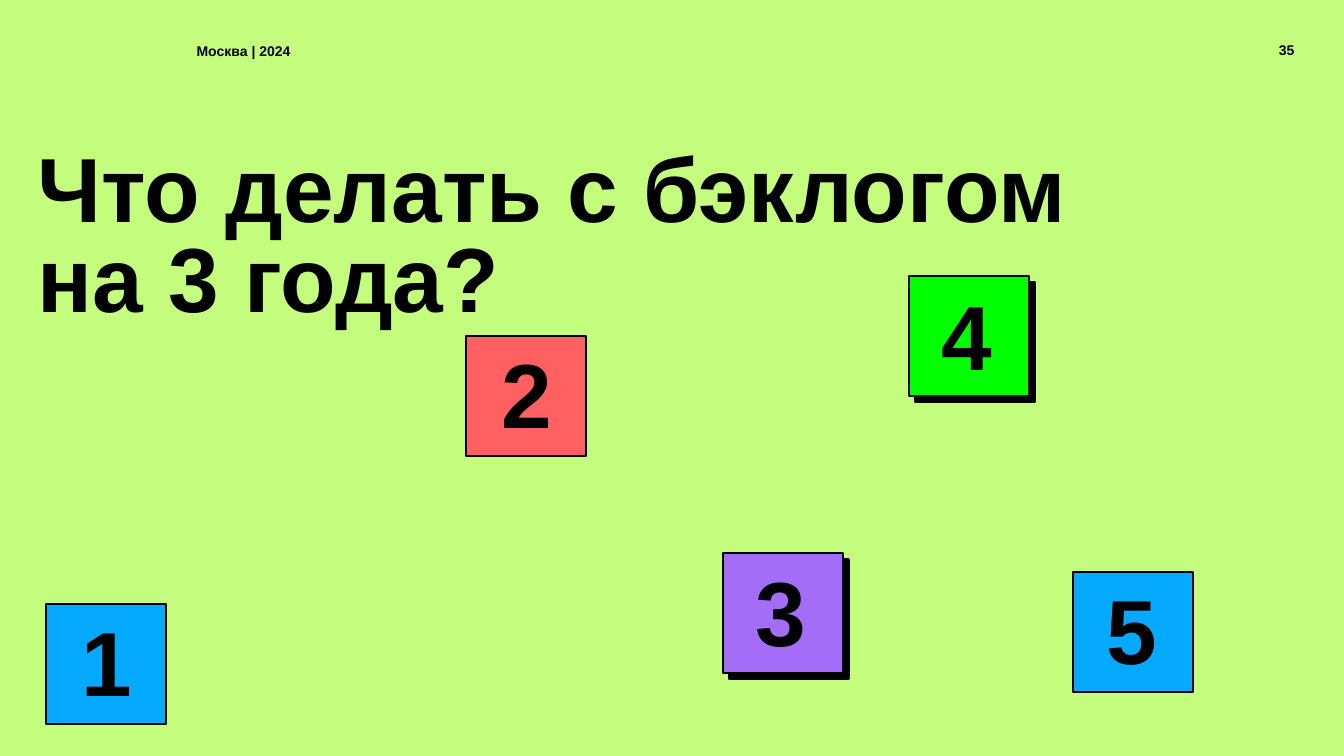
from pptx import Presentation
from pptx.dml.color import RGBColor
from pptx.enum import shapes, text
from pptx.oxml import parse_xml
from pptx.oxml.ns import nsdecls
from pptx.util import Pt

COLORS = {
    "background": "C4FD7D", "ink": "000000", "blue": "05AAFF",
    "red": "FF6061", "violet": "A36DF7", "green": "00FF00",
}
SMALL = {"size": Pt(20), "bold": True, "name": "Arial"}
LARGE = {"size": Pt(130), "bold": True, "name": "Arial"}
CARD_SIDE = 171.4

# Number, fill, card left and top, digit offset in the card, hard shadow
CARDS = [
    ("4", "green", 1298.2, 394.6, 42.5, 27.4, True),
    ("1", "blue", 65.5, 862.6, 46.8, 25.2, False),
    ("2", "red", 666, 479.5, 46.1, 26.6, False),
    ("3", "violet", 1032.5, 790.6, 42.5, 26.6, True),
    ("5", "blue", 1532.9, 817.2, 43.2, 25.2, False),
]


def rgb(name):
    return RGBColor.from_string(COLORS[name])


def add_text(s, lines, box, style, spacing=None, align=text.PP_ALIGN.LEFT,
             anchor=text.MSO_ANCHOR.TOP, insets=(4.3, 4.3), wrap=True):
    tf = s.shapes.add_textbox(*map(Pt, box)).text_frame
    tf.word_wrap = wrap
    tf.vertical_anchor = anchor
    tf.margin_left = tf.margin_right = Pt(insets[0])
    tf.margin_top = tf.margin_bottom = Pt(insets[1])
    for i, line in enumerate(lines):
        p = tf.paragraphs[0] if i == 0 else tf.add_paragraph()
        p.alignment = align
        p.line_spacing = spacing
        r = p.add_run()
        r.text = line
        for key, value in style.items():
            setattr(r.font, key, value)
        r.font.color.rgb = rgb("ink")


def add_hard_shadow(sp):
    effects = sp._element.spPr.find(
        "{http://schemas.openxmlformats.org/drawingml/2006/main}effectLst")
    effects.append(parse_xml(
        f'<a:outerShdw {nsdecls("a")} blurRad="0" dist="{Pt(12)}" '
        f'dir="{46 * 60000}" algn="tl" rotWithShape="0">'
        f'<a:srgbClr val="{COLORS["ink"]}"/></a:outerShdw>'))


def add_card(s, number, fill, left, top, dx, dy, shadow):
    sp = s.shapes.add_shape(shapes.MSO_SHAPE.RECTANGLE, Pt(left), Pt(top),
                            Pt(CARD_SIDE), Pt(CARD_SIDE))
    sp.shadow.inherit = False
    sp.fill.solid()
    sp.fill.fore_color.rgb = rgb(fill)
    sp.line.color.rgb = rgb("ink")
    sp.line.width = Pt(3)
    if shadow:
        add_hard_shadow(sp)
    add_text(s, [number], (left + dx, top + dy, 81.4, 137.5), LARGE,
             spacing=0.82, wrap=False)


def main():
    prs = Presentation()
    prs.slide_width, prs.slide_height = Pt(1920), Pt(1080)
    s = prs.slides.add_slide(prs.slide_layouts[6])
    s.background.fill.solid()
    s.background.fill.fore_color.rgb = rgb("background")

    # Header
    add_text(s, ["Москва | 2024"], (276.5, 56.9, 199.4, 32.4), SMALL)
    add_text(s, ["35"], (1817.3, 55.4, 41.8, 32.4), SMALL,
             align=text.PP_ALIGN.CENTER, anchor=text.MSO_ANCHOR.BOTTOM)

    # Title
    add_text(s, ["Что делать с бэклогом", "на 3 года?"],
             (46.8, 212.4, 1790, 266.4), LARGE, spacing=0.82,
             insets=(7.2, 3.6))

    # Numbered cards
    for card in CARDS:
        add_card(s, *card)

    prs.save("out.pptx")


if __name__ == "__main__":
    main()
